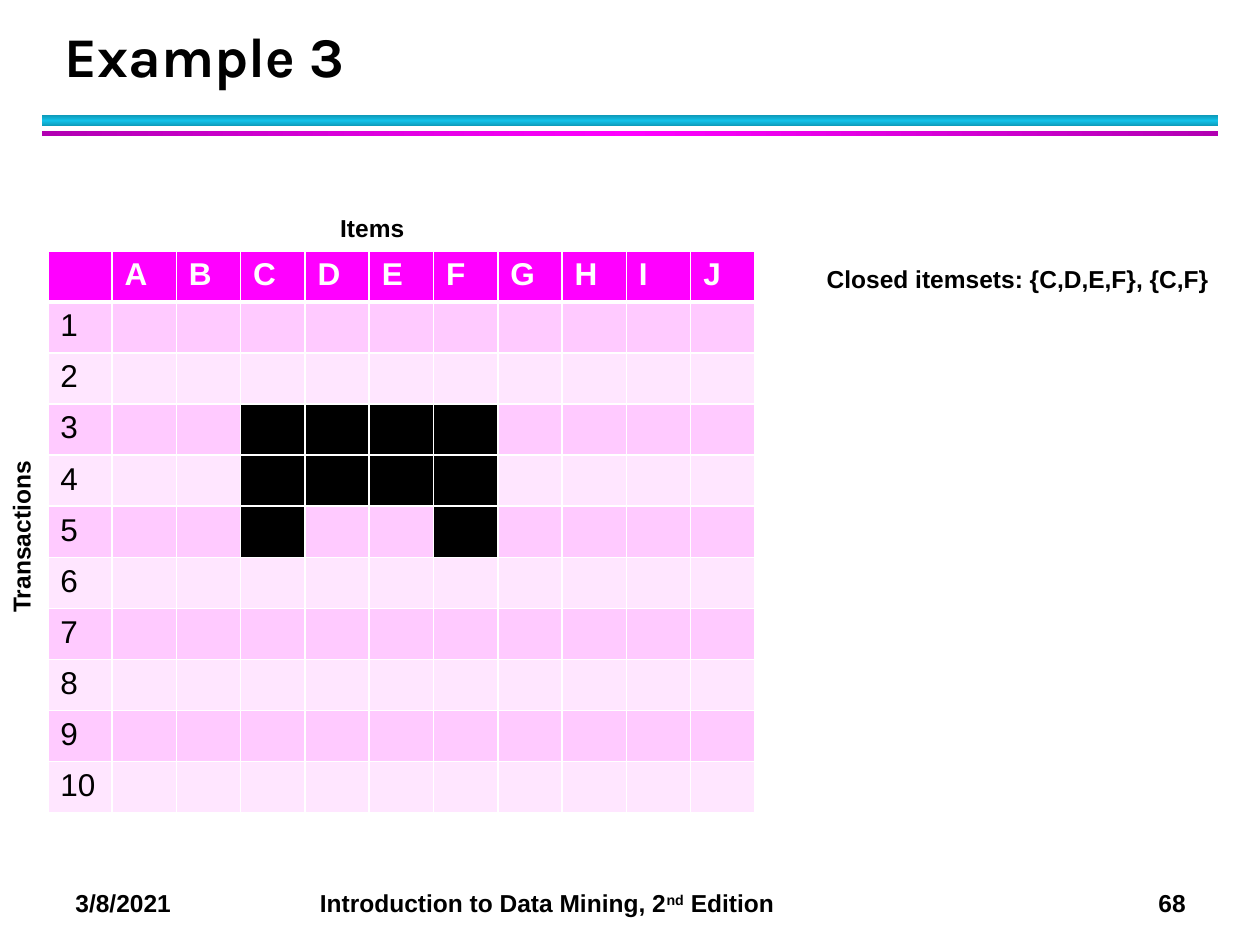
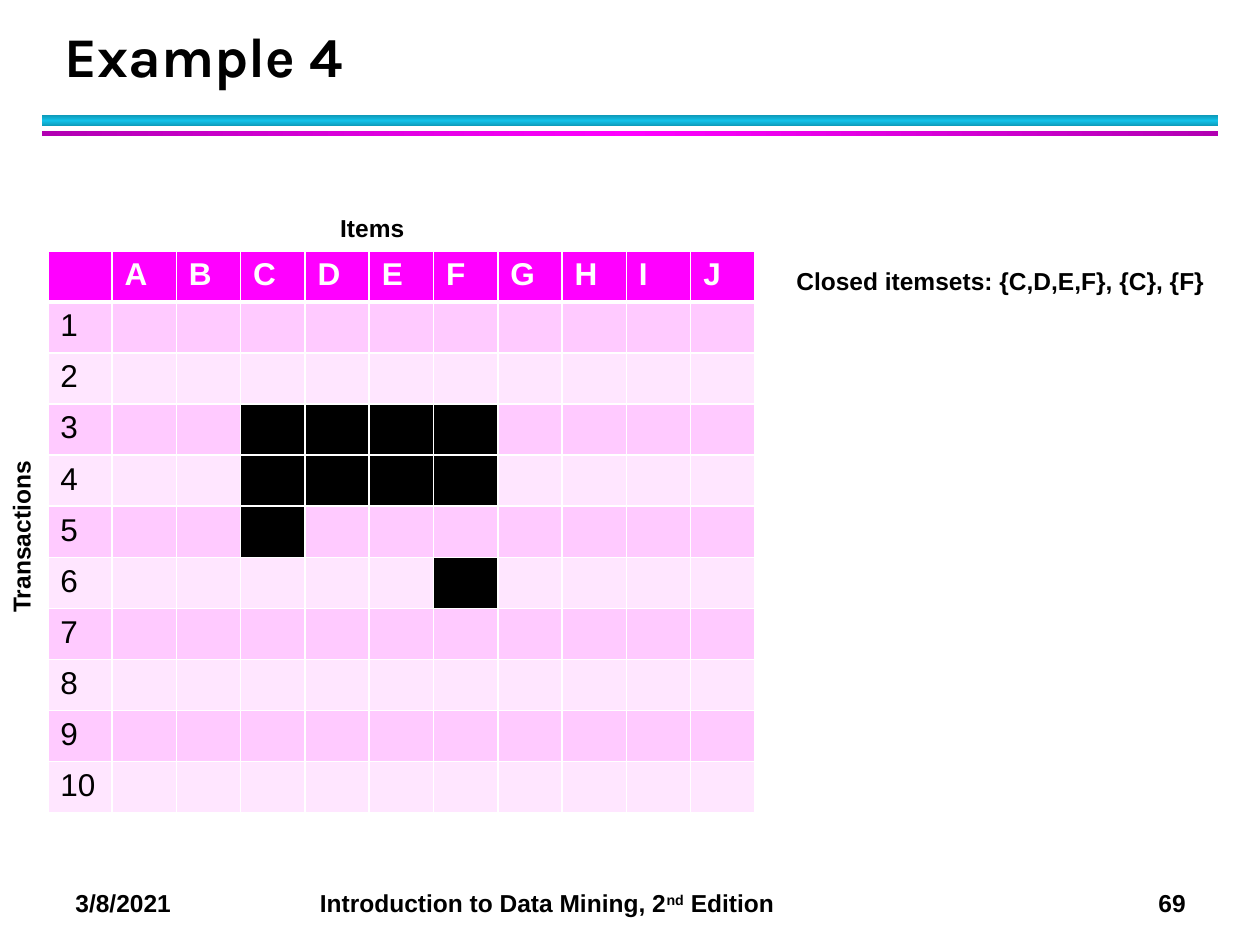
from collections import namedtuple

from lxml.etree import SubElement
from pptx import Presentation
from pptx.dml.color import RGBColor
from pptx.enum.shapes import MSO_SHAPE
from pptx.enum.text import MSO_ANCHOR
from pptx.oxml.ns import qn
from pptx.util import Pt

Box = namedtuple("Box", "left top width height")

COLORS = {
    "ink": "000000",
    "paper": "FFFFFF",
    "header": "FF00FF",
    "odd_row": "FFCAFF",
    "even_row": "FFE6FF",
    "teal_edge": "0E9BBA",
    "teal_middle": "12C2E9",
    "purple_edge": "B200B2",
    "purple_middle": "FF00FF",
}
BODY_FONT = "Arial"
TITLE_FONT = "Karla"
ITEMS = "ABCDEFGHIJ"
TRANSACTIONS = range(1, 11)
COLUMN_WIDTH = 36.75
ROW_HEIGHT = 29.2

TITLE_BOX = Box(30, 12.2, 652, 42)
BANDS_BOX = Box(24, 66, 672, 12)
MATRIX_BOX = Box(27.3, 143.3, COLUMN_WIDTH * 11, ROW_HEIGHT * 11)
FOOTER_BOX = Box(36, 504, 672, 24.5)

EXAMPLES = [
    {
        "title": "Example 3",
        "number": "68",
        "filled": {3: "CDEF", 4: "CDEF", 5: "CF"},
        "answer": "Closed itemsets: {C,D,E,F}, {C,F}",
        "answer_box": Box(465.3, 147.6, 245, 28.8),
    },
    {
        "title": "Example 4",
        "number": "69",
        "filled": {3: "CDEF", 4: "CDEF", 5: "C", 6: "F"},
        "answer": "Closed itemsets: {C,D,E,F}, {C}, {F}",
        "answer_box": Box(448, 148.3, 261, 28.8),
    },
]


def color(name):
    return RGBColor.from_string(COLORS[name])


def in_points(box):
    return [Pt(length) for length in box]


def add_span(para, text, size=14, font=BODY_FONT, ink="ink", bold=True):
    span = para.add_run()
    span.text = text
    span.font.name = font
    span.font.size = Pt(size)
    span.font.bold = bold
    span.font.color.rgb = color(ink)
    return span


def add_text_box(page, box):
    shape = page.shapes.add_textbox(*in_points(box))
    shape.text_frame.word_wrap = True
    return shape


def add_label(page, box, text):
    shape = add_text_box(page, box)
    add_span(shape.text_frame.paragraphs[0], text)
    return shape


def add_title(page, box, text):
    frame = add_text_box(page, box).text_frame
    frame.vertical_anchor = MSO_ANCHOR.BOTTOM
    para = frame.paragraphs[0]
    para.line_spacing = 1.12
    add_span(para, text, 32, TITLE_FONT)


def add_band(page, box, hue, angle):
    band = page.shapes.add_shape(MSO_SHAPE.RECTANGLE, *in_points(box))
    band.shadow.inherit = False
    band.line.fill.background()
    band.fill.gradient()
    band.fill.gradient_angle = angle
    stops = band._element.spPr.find(".//" + qn("a:gsLst"))
    for stop in list(stops):
        stops.remove(stop)
    for position, part in ((0, "edge"), (50, "middle"), (100, "edge")):
        stop = SubElement(stops, qn("a:gs"), pos=str(position * 1000))
        SubElement(stop, qn("a:srgbClr"), val=COLORS[f"{hue}_{part}"])


def add_bands(page, box):
    add_band(page, box._replace(height=6), "teal", 90)
    add_band(page, box._replace(top=box.top + 9, height=3), "purple", 0)


def add_footer(page, box, number):
    para = add_text_box(page, box).text_frame.paragraphs[0]
    tabs = SubElement(para._p.get_or_add_pPr(), qn("a:tabLst"))
    for position, alignment in ((139.7, "l"), (634.5, "r")):
        SubElement(tabs, qn("a:tab"), pos=str(int(Pt(position))), algn=alignment)
    add_span(para, "3/8/2021\tIntroduction to Data Mining, 2")
    ordinal = add_span(para, "nd")
    ordinal._r.get_or_add_rPr().set("baseline", "30000")
    add_span(para, f" Edition\t{number}")


def style_cell(cell, fill, top, bottom):
    properties = cell._tc.get_or_add_tcPr()
    for side, width in (("L", 1), ("R", 1), ("T", top), ("B", bottom)):
        border = SubElement(properties, qn(f"a:ln{side}"), w=str(int(Pt(width))))
        solid = SubElement(border, qn("a:solidFill"))
        SubElement(solid, qn("a:srgbClr"), val=COLORS["paper"])
    cell.fill.solid()
    cell.fill.fore_color.rgb = color(fill)


def add_matrix(page, box, filled):
    rows, columns = len(TRANSACTIONS) + 1, len(ITEMS) + 1
    table = page.shapes.add_table(rows, columns, *in_points(box)).table
    table.first_row = False
    table.horz_banding = False
    for column in table.columns:
        column.width = Pt(box.width / columns)
    for row in table.rows:
        row.height = Pt(box.height / rows)

    style_cell(table.cell(0, 0), "header", 1, 3)
    for column, item in enumerate(ITEMS, 1):
        cell = table.cell(0, column)
        style_cell(cell, "header", 1, 3)
        add_span(cell.text_frame.paragraphs[0], item, 18, ink="paper")

    for row in TRANSACTIONS:
        stripe = "odd_row" if row % 2 else "even_row"
        top = 3 if row == 1 else 1
        heading = table.cell(row, 0)
        style_cell(heading, stripe, top, 1)
        add_span(heading.text_frame.paragraphs[0], str(row), 18, bold=False)
        for column, item in enumerate(ITEMS, 1):
            fill = "ink" if item in filled.get(row, "") else stripe
            style_cell(table.cell(row, column), fill, top, 1)

    add_label(page, Box(box.left + 160, box.top - 25.2, 55.5, 28.8), "Items")
    side = Box(box.left - 66.2, box.top + 146.2, 106.6, 28.8)
    add_label(page, side, "Transactions").rotation = 270


def add_example(deck, example):
    page = deck.slides.add_slide(deck.slide_layouts[6])
    add_bands(page, BANDS_BOX)
    add_footer(page, FOOTER_BOX, example["number"])
    add_title(page, TITLE_BOX, example["title"])
    add_matrix(page, MATRIX_BOX, example["filled"])
    add_label(page, example["answer_box"], example["answer"])


def main():
    deck = Presentation()
    deck.slide_width = Pt(720)
    deck.slide_height = Pt(540)
    for example in EXAMPLES:
        add_example(deck, example)
    deck.save("out.pptx")


if __name__ == "__main__":
    main()
